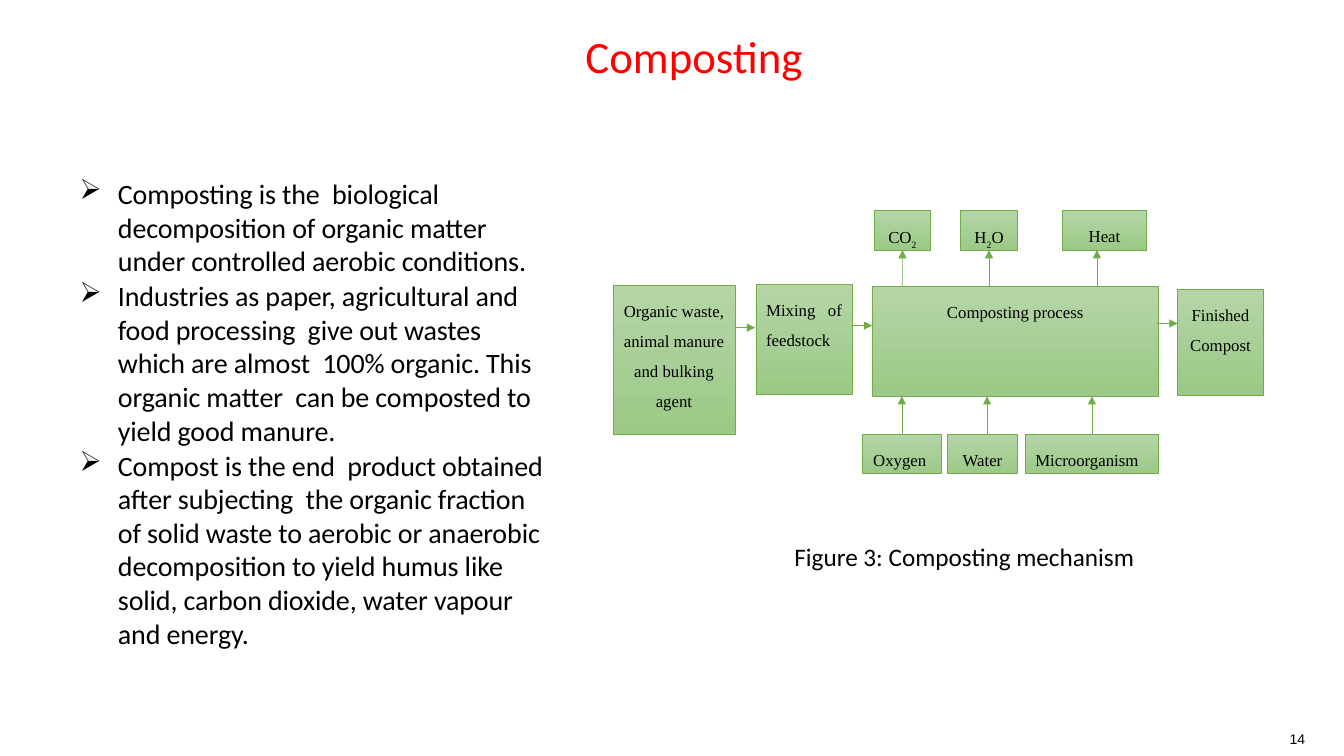
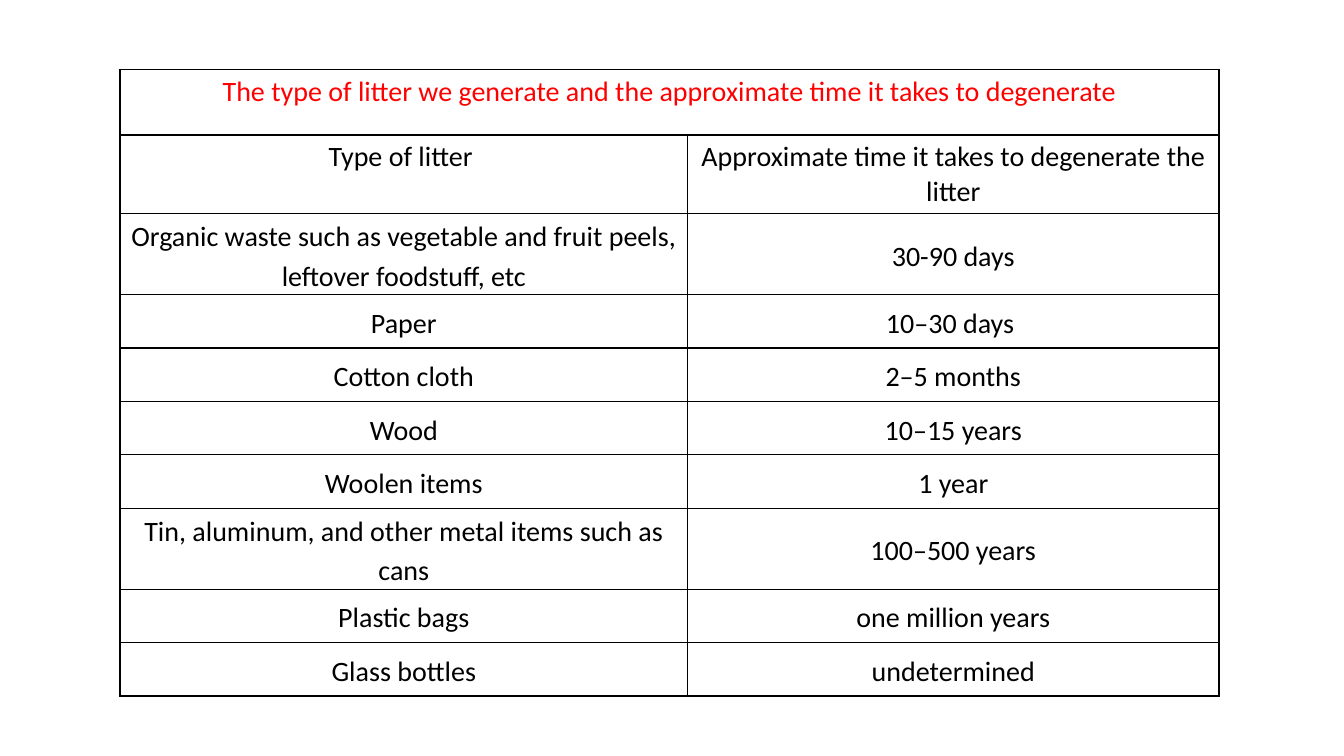
from dataclasses import dataclass

from lxml import etree
from pptx import Presentation
from pptx.dml.color import RGBColor
from pptx.enum.shapes import MSO_CONNECTOR, MSO_SHAPE
from pptx.enum.text import MSO_ANCHOR, PP_ALIGN
from pptx.oxml.ns import qn
from pptx.util import Inches, Pt

RECT = MSO_SHAPE.RECTANGLE
STRAIGHT = MSO_CONNECTOR.STRAIGHT
TOP, MIDDLE = MSO_ANCHOR.TOP, MSO_ANCHOR.MIDDLE
LEFT, CENTER, JUSTIFY = PP_ALIGN.LEFT, PP_ALIGN.CENTER, PP_ALIGN.JUSTIFY
SITE_TOP, SITE_BOTTOM = 0, 2


@dataclass(frozen=True)
class Theme:
    text: str = "000000"
    title: str = "FF0000"
    line: str = "70AD47"
    light: str = "B5D5A7"
    dark: str = "9CC987"
    body_font: str = "Calibri"
    box_font: str = "Times New Roman"
    number_font: str = "Arial"
    title_size: int = 32
    body_size: int = 20
    caption_size: int = 18
    box_size: int = 12
    number_size: int = 10


T = Theme()

BULLETS = [
    "Composting is the  biological decomposition\tof organic matter under "
    "controlled aerobic conditions.",
    "Industries as paper, agricultural and food processing  give out wastes "
    "which are almost  100% organic. This organic matter  can be composted "
    "to yield good manure.",
    "Compost is the end  product obtained after subjecting  the organic "
    "fraction of solid waste to aerobic or anaerobic decomposition to yield "
    "humus like solid, carbon dioxide, water vapour and energy.",
]
TABLE_TITLE = ("The type of litter we generate and the approximate time "
               "it takes to degenerate")
TABLE_HEAD = ("Type of litter ",
              "Approximate time it takes to degenerate the litter")
LITTER = [
    ("Organic waste such as vegetable and fruit peels, leftover foodstuff, etc",
     "30-90 days", 0.8),
    ("Paper", "10–30 days ", 0.53),
    ("Cotton cloth", "2–5 months", 0.53),
    ("Wood", "10–15 years", 0.53),
    ("Woolen items", "1 year", 0.53),
    ("Tin, aluminum, and other metal items such as cans", "100–500 years", 0.8),
    ("Plastic bags", "one million years", 0.53),
    ("Glass bottles", "undetermined", 0.53),
]


def rgb(value):
    return RGBColor.from_string(value)


def add_run(p, text, size, font=T.body_font, color=T.text):
    r = p.add_run()
    r.text = text
    r.font.size = Pt(size)
    r.font.name = font
    r.font.color.rgb = rgb(color)
    return r


def set_insets(obj, x, y):
    obj.margin_left = obj.margin_right = Inches(x)
    obj.margin_top = obj.margin_bottom = Inches(y)


def add_text_box(s, box, anchor=TOP, wrap=True):
    tf = s.shapes.add_textbox(*map(Inches, box)).text_frame
    set_insets(tf, 0, 0)
    tf.word_wrap = wrap
    tf.vertical_anchor = anchor
    return tf


def add_label(s, box, text, size, font=T.body_font, color=T.text,
              align=CENTER, wrap=True):
    tf = add_text_box(s, box, MIDDLE, wrap)
    p = tf.paragraphs[0]
    p.alignment = align
    add_run(p, text, size, font, color)


def add_bullets(s, box):
    tf = add_text_box(s, box)
    tf.margin_top = Inches(0.01)
    for i, text in enumerate(BULLETS):
        p = tf.paragraphs[0] if i == 0 else tf.add_paragraph()
        p.space_before = Pt(1)
        pPr = p._p.get_or_add_pPr()
        pPr.set("marL", str(Inches(0.39)))
        pPr.set("indent", str(Inches(-0.38)))
        etree.SubElement(pPr, qn("a:buChar"), char="➢")
        tabs = etree.SubElement(pPr, qn("a:tabLst"))
        etree.SubElement(tabs, qn("a:tab"), pos=str(Inches(2.12)), algn="l")
        r = add_run(p, text, T.body_size)
        r._r.get_or_add_rPr().set("spc", "-10")


def add_step(s, box, parts, align=CENTER):
    sp = s.shapes.add_shape(RECT, *map(Inches, box))
    sp.shadow.inherit = False
    sp.fill.gradient()
    sp.fill.gradient_angle = 270
    for stop, color in zip(sp.fill.gradient_stops, (T.light, T.dark)):
        stop.color.rgb = rgb(color)
    sp.line.color.rgb = rgb(T.line)
    sp.line.width = Pt(0.5)
    tf = sp.text_frame
    tf.word_wrap = True
    tf.vertical_anchor = TOP
    p = tf.paragraphs[0]
    p.alignment = align
    p.line_spacing = 1.5
    for text in parts:
        r = add_run(p, text, T.box_size, T.box_font)
        if text == "2":
            r._r.get_or_add_rPr().set("baseline", "-25000")
    return sp


def add_arrow(s, start, end):
    c = s.shapes.add_connector(STRAIGHT, *map(Inches, start + end))
    c.line.color.rgb = rgb(T.line)
    c.line.width = Pt(0.5)
    etree.SubElement(c.line._get_or_add_ln(), qn("a:tailEnd"), type="triangle")
    etree.SubElement(c._element.spPr, qn("a:effectLst"))
    return c


def add_diagram(s, left, top):
    def step(x, y, w, h, parts, align=CENTER):
        return add_step(s, (left + x, top + y, w, h), parts, align)

    def arrow(x1, y1, x2, y2):
        return add_arrow(s, (left + x1, top + y1), (left + x2, top + y2))

    row_h, process_top, process_bottom, inputs_top = 0.39, 0.75, 1.84, 2.22
    step(0, 0.74, 1.21, 1.48, ["Organic waste, animal manure and bulking agent"])
    step(1.42, 0.73, 0.95, 1.09, ["Mixing of feedstock"], JUSTIFY)
    step(2.57, process_top, 2.84, process_bottom - process_top,
         ["Composting process"])
    step(5.6, 0.78, 0.85, 1.05, ["Finished Compost"])

    for x1, x2, y in ((1.21, 1.41, 1.16), (2.37, 2.57, 1.14), (5.4, 5.6, 1.12)):
        arrow(x1, y, x2, y)

    outputs = [
        (2.59, 0.56, ["CO", "2"], 2.87, True),
        (3.45, 0.56, ["H", "2", "O"], 3.73, True),
        (4.46, 0.83, ["Heat"], 4.8, False),
    ]
    for x, w, parts, arrow_x, joined in outputs:
        sp = step(x, 0, w, row_h, parts)
        c = arrow(arrow_x, process_top, arrow_x, row_h)
        if joined:
            c.end_connect(sp, SITE_BOTTOM)

    inputs = [
        (2.47, 0.79, "Oxygen ", CENTER, 2.865, True),
        (3.32, 0.69, "Water", CENTER, 3.71, False),
        (4.09, 1.32, "Microorganism", JUSTIFY, 4.75, True),
    ]
    for x, w, text, align, arrow_x, joined in inputs:
        sp = step(x, inputs_top, w, row_h, [text], align)
        c = arrow(arrow_x, inputs_top, arrow_x, process_bottom)
        if joined:
            c.begin_connect(sp, SITE_TOP)


def style_cell(cell):
    cell.fill.background()
    tcPr = cell._tc.get_or_add_tcPr()
    for i, side in enumerate(("a:lnL", "a:lnR", "a:lnT", "a:lnB")):
        ln = etree.Element(qn(side), w=str(Pt(1)))
        fill = etree.SubElement(ln, qn("a:solidFill"))
        etree.SubElement(fill, qn("a:srgbClr"), val=T.text)
        tcPr.insert(i, ln)


def fill_cell(cell, text, color=T.text, heading=False):
    set_insets(cell, *((0.13, 0.05) if heading else (0.01, 0.01)))
    cell.vertical_anchor = TOP if heading else MIDDLE
    p = cell.text_frame.paragraphs[0]
    p.alignment = CENTER
    if not heading:
        p.line_spacing = 1.15
    add_run(p, text, T.body_size, color=color)


def add_litter_table(s, left, top, col_widths):
    heights = [0.65, 0.78] + [h for _, _, h in LITTER]
    table = s.shapes.add_table(
        len(heights), len(col_widths), Inches(left), Inches(top),
        Inches(sum(col_widths)), Inches(sum(heights))).table
    table.first_row = table.horz_banding = False
    for col, w in zip(table.columns, col_widths):
        col.width = Inches(w)
    for row, h in zip(table.rows, heights):
        row.height = Inches(h)
    for cell in table.iter_cells():
        style_cell(cell)
    table.cell(0, 0).merge(table.cell(0, 1))
    fill_cell(table.cell(0, 0), TABLE_TITLE, T.title, heading=True)
    for j, text in enumerate(TABLE_HEAD):
        fill_cell(table.cell(1, j), text, heading=True)
    for i, (kind, time, _) in enumerate(LITTER, 2):
        fill_cell(table.cell(i, 0), kind)
        fill_cell(table.cell(i, 1), time)


def composting_slide(s):
    add_label(s, (5.18, 0.28, 3.41, 0.55), "Composting", T.title_size,
              color=T.title)
    add_bullets(s, (0.78, 1.74, 4.63, 4.75))
    add_diagram(s, 6.08, 2.09)
    add_label(s, (7.76, 5.32, 3.61, 0.4), "Figure 3: Composting mechanism",
              T.caption_size, wrap=False)
    add_label(s, (12.79, 7.25, 0.24, 0.17), "14", T.number_size,
              T.number_font, align=LEFT)


def litter_slide(s):
    add_litter_table(s, 1.19, 0.69, (5.63, 5.27))


def main():
    prs = Presentation()
    prs.slide_width, prs.slide_height = Inches(13.33), Inches(7.5)
    for build in (composting_slide, litter_slide):
        build(prs.slides.add_slide(prs.slide_layouts[6]))
    prs.save("out.pptx")


if __name__ == "__main__":
    main()
